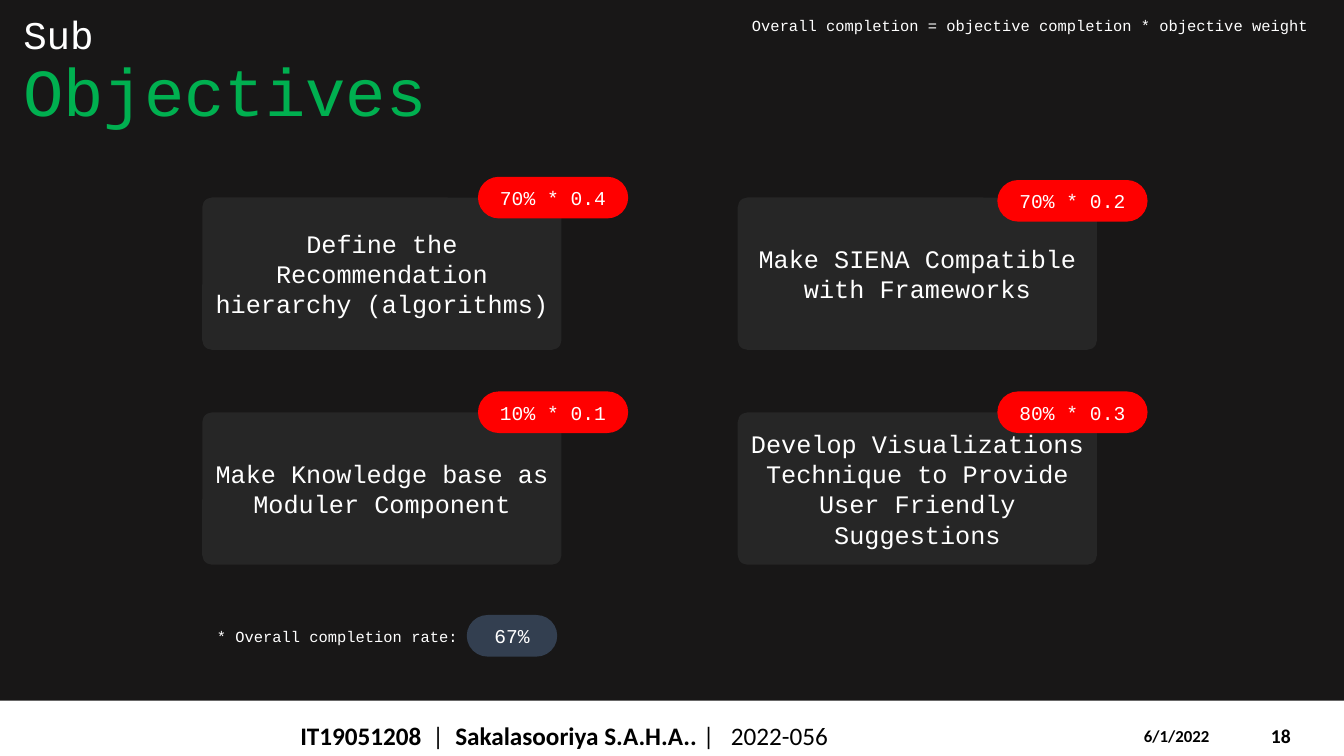
import copy
from dataclasses import dataclass

import pptx
import pptx.dml.color
import pptx.enum.shapes
import pptx.enum.text
import pptx.oxml
import pptx.oxml.ns
import pptx.util

Pt = pptx.util.Pt
Align = pptx.enum.text.PP_ALIGN
Anchor = pptx.enum.text.MSO_ANCHOR
Shape = pptx.enum.shapes.MSO_SHAPE


@dataclass(frozen=True)
class Theme:
    mono: str = "Courier New"
    sans: str = "Calibri"
    background: str = "181717"
    white: str = "FFFFFF"
    black: str = "000000"
    green: str = "00B050"
    red: str = "FF0000"
    card: str = "262626"
    slate: str = "333F50"
    headline: int = 48
    kicker: int = 28
    body: int = 18
    badge: int = 14
    date: int = 12
    note: int = 11


class SlideBuilder:
    def __init__(self, prs, theme):
        self.theme = theme
        self.s = prs.slides.add_slide(prs.slide_layouts[5])
        self.paint(self.s.background.fill, theme.background)

    def paint(self, fill, color):
        fill.solid()
        fill.fore_color.rgb = pptx.dml.color.RGBColor.from_string(color)

    def format_run(self, r, font, size, color, bold=False):
        r.font.name = font
        r.font.size = Pt(size)
        r.font.bold = bold
        r.font.color.rgb = pptx.dml.color.RGBColor.from_string(color)

    def title(self, kicker, headline, x, y, w, h):
        sp = self.s.shapes.title
        sp.left, sp.top, sp.width, sp.height = map(Pt, (x, y, w, h))
        tf = sp.text_frame
        tf.text = f"{kicker}\v{headline}"
        tf.auto_size = pptx.enum.text.MSO_AUTO_SIZE.NONE
        tf.vertical_anchor = Anchor.BOTTOM
        p = tf.paragraphs[0]
        p.alignment = Align.LEFT
        p.line_spacing = 0.9
        t = self.theme
        first, second = p.runs
        self.format_run(first, t.mono, t.kicker, t.white)
        self.format_run(second, t.mono, t.headline, t.green)
        # The line break takes the kicker's size so the first line stays low
        line_break = p._p.find(pptx.oxml.ns.qn("a:br"))
        line_break.append(copy.deepcopy(first.font._rPr))

    def box(self, x, y, w, h, fill=None, text="", size=None,
            kind=Shape.ROUNDED_RECTANGLE, corner=0.5, align=Align.CENTER):
        sp = self.s.shapes.add_shape(kind, Pt(x), Pt(y), Pt(w), Pt(h))
        sp.shadow.inherit = False
        sp.line.fill.background()
        if fill:
            self.paint(sp.fill, fill)
        else:
            sp.fill.background()
        if kind == Shape.ROUNDED_RECTANGLE:
            sp.adjustments[0] = corner
        if text:
            tf = sp.text_frame
            tf.text = text
            tf.word_wrap = True
            tf.vertical_anchor = Anchor.MIDDLE
            p = tf.paragraphs[0]
            p.alignment = align
            self.format_run(p.runs[0], self.theme.mono, size, self.theme.white)

    def footer_text(self, x, y, w, h, size, parts, tabs=(), anchor=Anchor.MIDDLE):
        """Add one line of (text, bold) parts with tab stops in points."""
        tf = self.s.shapes.add_textbox(Pt(x), Pt(y), Pt(w), Pt(h)).text_frame
        tf.word_wrap = True
        tf.vertical_anchor = anchor
        p = tf.paragraphs[0]
        if tabs:
            stops = "".join(f'<a:tab pos="{Pt(t)}" algn="l"/>' for t in tabs)
            ns = pptx.oxml.ns.nsdecls("a")
            tab_list = pptx.oxml.parse_xml(f"<a:tabLst {ns}>{stops}</a:tabLst>")
            p._p.get_or_add_pPr().append(tab_list)
        for text, bold in parts:
            r = p.add_run()
            r.text = text
            self.format_run(r, self.theme.sans, size, self.theme.black, bold)


def main():
    prs = pptx.Presentation()
    prs.slide_width, prs.slide_height = Pt(960), Pt(540)
    t = Theme()
    b = SlideBuilder(prs, t)

    b.box(0, 500.4, 960, 39.6, t.white, kind=Shape.RECTANGLE)
    b.footer_text(900.7, 511.2, 53.3, 28.8, t.badge, [("18", True)])
    b.footer_text(810, 514.8, 84.2, 21.6, t.date, [("6/1/2022", True)],
                  anchor=Anchor.TOP)
    b.footer_text(207.4, 511.2, 536.4, 28.8, t.body,
                  [("IT19051208", True), ("\t|\t", False),
                   ("Sakalasooriya S.A.H.A.. ", True), ("|\t2022-056", False)],
                  tabs=(94.3, 110.7, 307.5))

    b.title("Sub", "Objectives", 9.4, 6.5, 828, 90.7)

    card_x, card_y = (144.5, 527), (141.1, 294.6)
    badge_x = (341.4, 712.4)
    objectives = [  # column, row, text, badge, badge top
        (0, 0, "Define the Recommendation hierarchy (algorithms)", "70% * 0.4", 126.3),
        (1, 0, "Make SIENA Compatible with Frameworks", "70% * 0.2", 128.6),
        (0, 1, "Make Knowledge base as Moduler Component", "10% * 0.1", 279.6),
        (1, 1, "Develop Visualizations Technique to Provide User Friendly Suggestions",
         "80% * 0.3", 279.6),
    ]
    for col, row, text, badge, badge_y in objectives:
        b.box(card_x[col], card_y[row], 256.6, 108.8, t.card, text, t.body,
              corner=0.064)
        b.box(badge_x[col], badge_y, 107.3, 29.7, t.red, badge, t.badge)

    b.box(527, 7.5, 423.4, 21, None,
          "Overall completion = objective completion * objective weight",
          t.note, align=Align.LEFT)
    b.box(144.7, 443.8, 325.4, 21, None, "* Overall completion rate:",
          t.note, align=Align.LEFT)
    b.box(333.4, 439.3, 64.6, 29.7, t.slate, "67%", t.badge)

    prs.save("out.pptx")


if __name__ == "__main__":
    main()
